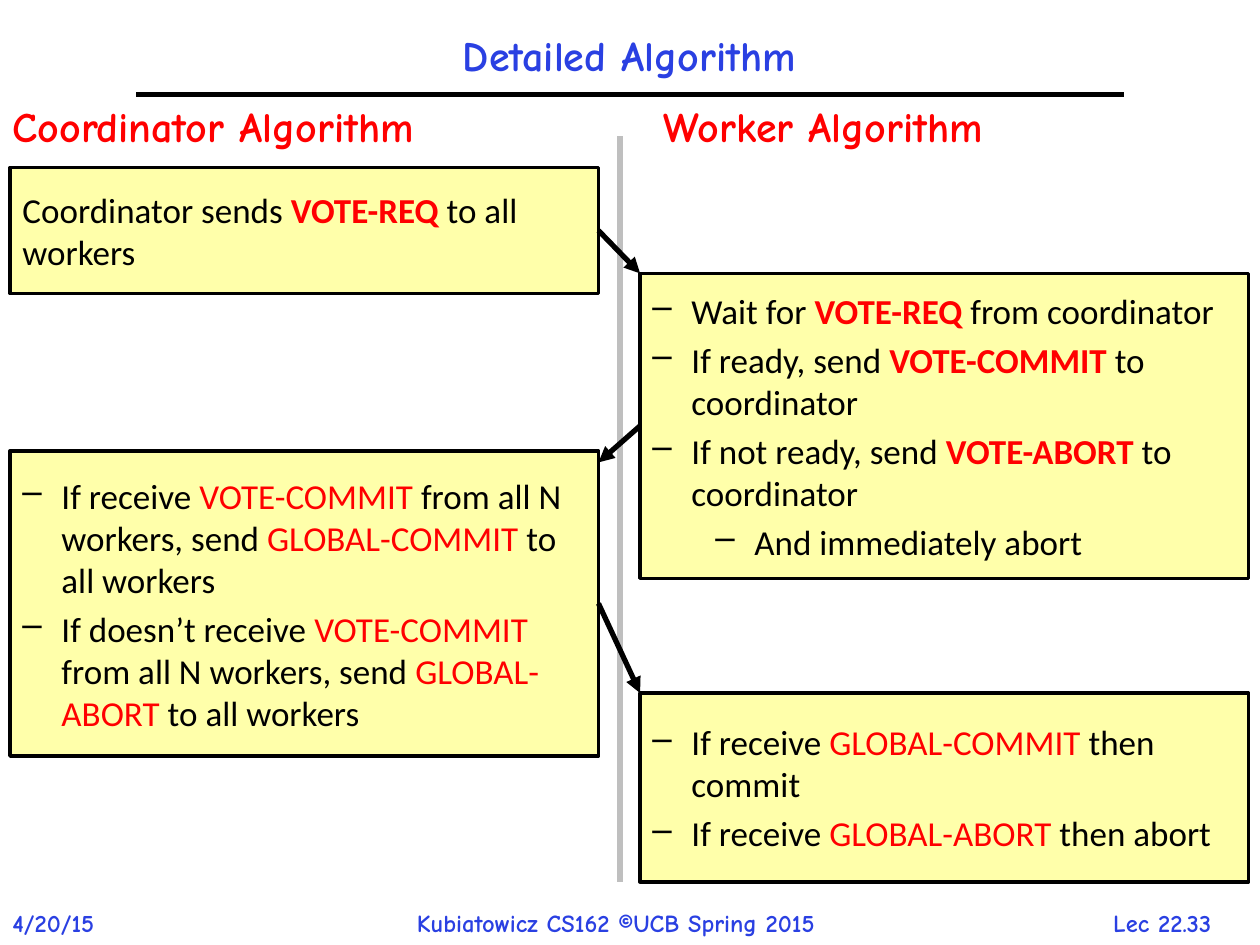
from pptx import Presentation
from pptx.dml.color import RGBColor
from pptx.enum.shapes import MSO_CONNECTOR, MSO_SHAPE
from pptx.enum.text import MSO_ANCHOR, MSO_AUTO_SIZE, PP_ALIGN
from pptx.oxml.ns import qn
from pptx.util import Inches, Pt
from lxml.etree import SubElement

BLUE = RGBColor(0x2A, 0x40, 0xE2)
RED = RGBColor(0xFF, 0x00, 0x00)
BLACK = RGBColor(0x00, 0x00, 0x00)
GRAY = RGBColor(0xBF, 0xBF, 0xBF)
YELLOW = RGBColor(0xFF, 0xFF, 0xAA)
HEADING_FONT = "Comic Neue"
BODY_FONT = "Calibri"

COORDINATOR_LEFT, COORDINATOR_WIDTH = 0.08, 4.67
WORKER_LEFT, WORKER_WIDTH = 5.08, 4.83
BULLET_INDENT = 0.31
SUB_BULLET_INDENT = 0.81


def add_run(paragraph, text, size, font, color, bold=False):
    run = paragraph.add_run()
    run.text = text
    run.font.size = Pt(size)
    run.font.name = font
    run.font.bold = bold
    run.font.color.rgb = color


def set_title(slide, text):
    title = slide.shapes.title
    title.left, title.top = Inches(1.08), Inches(0.17)
    title.width, title.height = Inches(7.83), Inches(0.58)
    frame = title.text_frame
    frame.auto_size = MSO_AUTO_SIZE.NONE
    frame.vertical_anchor = MSO_ANCHOR.MIDDLE
    paragraph = frame.paragraphs[0]
    paragraph.alignment = PP_ALIGN.CENTER
    paragraph.line_spacing = 0.9
    add_run(paragraph, text, 24, HEADING_FONT, BLUE, True)


def add_label(slide, text, left, top, width, height, size, color,
              alignment=PP_ALIGN.LEFT):
    label = slide.shapes.add_textbox(
        Inches(left), Inches(top), Inches(width), Inches(height))
    frame = label.text_frame
    frame.word_wrap = False
    paragraph = frame.paragraphs[0]
    paragraph.alignment = alignment
    add_run(paragraph, text, size, HEADING_FONT, color, True)


def add_line(slide, start, end, color):
    line = slide.shapes.add_connector(
        MSO_CONNECTOR.STRAIGHT, *[Inches(value) for value in (*start, *end)])
    line.line.color.rgb = color
    line.line.width = Pt(3)
    SubElement(line._element.spPr, qn("a:effectLst"))
    return line


def add_message(slide, sender, side, start, end):
    message = add_line(slide, start, end, BLACK)
    message.begin_connect(sender, side)
    SubElement(message.line._get_or_add_ln(), qn("a:tailEnd"), type="triangle")


def set_dash(paragraph, indent):
    properties = paragraph._p.get_or_add_pPr()
    properties.set("marL", str(Inches(indent)))
    properties.set("indent", str(-Inches(BULLET_INDENT)))
    SubElement(properties, qn("a:buChar"), char="–")


def add_step(slide, left, top, width, height, items, bold_messages=False):
    step = slide.shapes.add_shape(
        MSO_SHAPE.RECTANGLE,
        Inches(left), Inches(top), Inches(width), Inches(height))
    step.shadow.inherit = False
    step.fill.solid()
    step.fill.fore_color.rgb = YELLOW
    step.line.color.rgb = BLACK
    step.line.width = Pt(2)
    frame = step.text_frame
    frame.word_wrap = True
    frame.vertical_anchor = MSO_ANCHOR.MIDDLE
    for index, (indent, parts) in enumerate(items):
        paragraph = frame.add_paragraph() if index else frame.paragraphs[0]
        paragraph.alignment = PP_ALIGN.LEFT
        if index:
            paragraph.space_before = Pt(4)
        if indent:
            set_dash(paragraph, indent)
        for position, text in enumerate(parts):
            is_message = position % 2 == 1
            add_run(paragraph, text, 20, BODY_FONT,
                    RED if is_message else BLACK,
                    is_message and bold_messages)
    return step


def main():
    presentation = Presentation()
    presentation.slide_width = Inches(10)
    presentation.slide_height = Inches(7.5)
    slide = presentation.slides.add_slide(presentation.slide_layouts[5])

    add_label(slide, "Lec 22.33", 8.56, 7.16, 1.33, 0.33, 14, BLUE,
              PP_ALIGN.CENTER)
    add_label(slide, "4/20/15", 0, 7.16, 1, 0.34, 14, BLUE)
    add_label(slide, "Kubiatowicz CS162 ©UCB Spring 2015",
              3.21, 7.16, 3.87, 0.34, 14, BLUE)
    add_line(slide, (1.08, 0.75), (8.92, 0.75), BLACK)
    set_title(slide, "Detailed Algorithm")
    add_line(slide, (4.92, 1.08), (4.92, 7), GRAY)

    vote_request = add_step(
        slide, COORDINATOR_LEFT, 1.33, COORDINATOR_WIDTH, 1,
        [(0, ["Coordinator sends ", "VOTE-REQ ", "to all workers"])], True)
    vote = add_step(
        slide, WORKER_LEFT, 2.17, WORKER_WIDTH, 2.42,
        [(BULLET_INDENT, ["Wait for ", "VOTE-REQ ", "from coordinator"]),
         (BULLET_INDENT, ["If ready, send ", "VOTE-COMMIT ",
                          "to coordinator"]),
         (BULLET_INDENT, ["If not ready, send ", "VOTE-ABORT ",
                          "to coordinator"]),
         (SUB_BULLET_INDENT, ["And immediately abort"])], True)
    decision = add_step(
        slide, COORDINATOR_LEFT, 3.58, COORDINATOR_WIDTH, 2.42,
        [(BULLET_INDENT, ["If receive ", "VOTE-COMMIT ",
                          "from all N workers, send ", "GLOBAL-COMMIT",
                          " to all workers"]),
         (BULLET_INDENT, ["If doesn’t receive ", "VOTE-COMMIT ",
                          "from all N workers, send ", "GLOBAL-ABORT",
                          " to all workers"])])
    add_step(
        slide, WORKER_LEFT, 5.5, WORKER_WIDTH, 1.5,
        [(BULLET_INDENT, ["If receive ", "GLOBAL-COMMIT ", "then commit"]),
         (BULLET_INDENT, ["If receive ", "GLOBAL-ABORT ", "then abort"])])

    add_label(slide, "Coordinator Algorithm", 0, 0.75, 3.8, 0.51, 24, RED)
    add_label(slide, "Worker Algorithm", 5.17, 0.75, 3.13, 0.5, 24, RED)

    add_message(slide, vote_request, 3, (4.75, 1.83), (5.08, 2.17))
    add_message(slide, vote, 1, (5.08, 3.38), (4.75, 3.67))
    add_message(slide, decision, 3, (4.75, 4.79), (5.08, 5.5))

    presentation.save("out.pptx")


if __name__ == "__main__":
    main()
